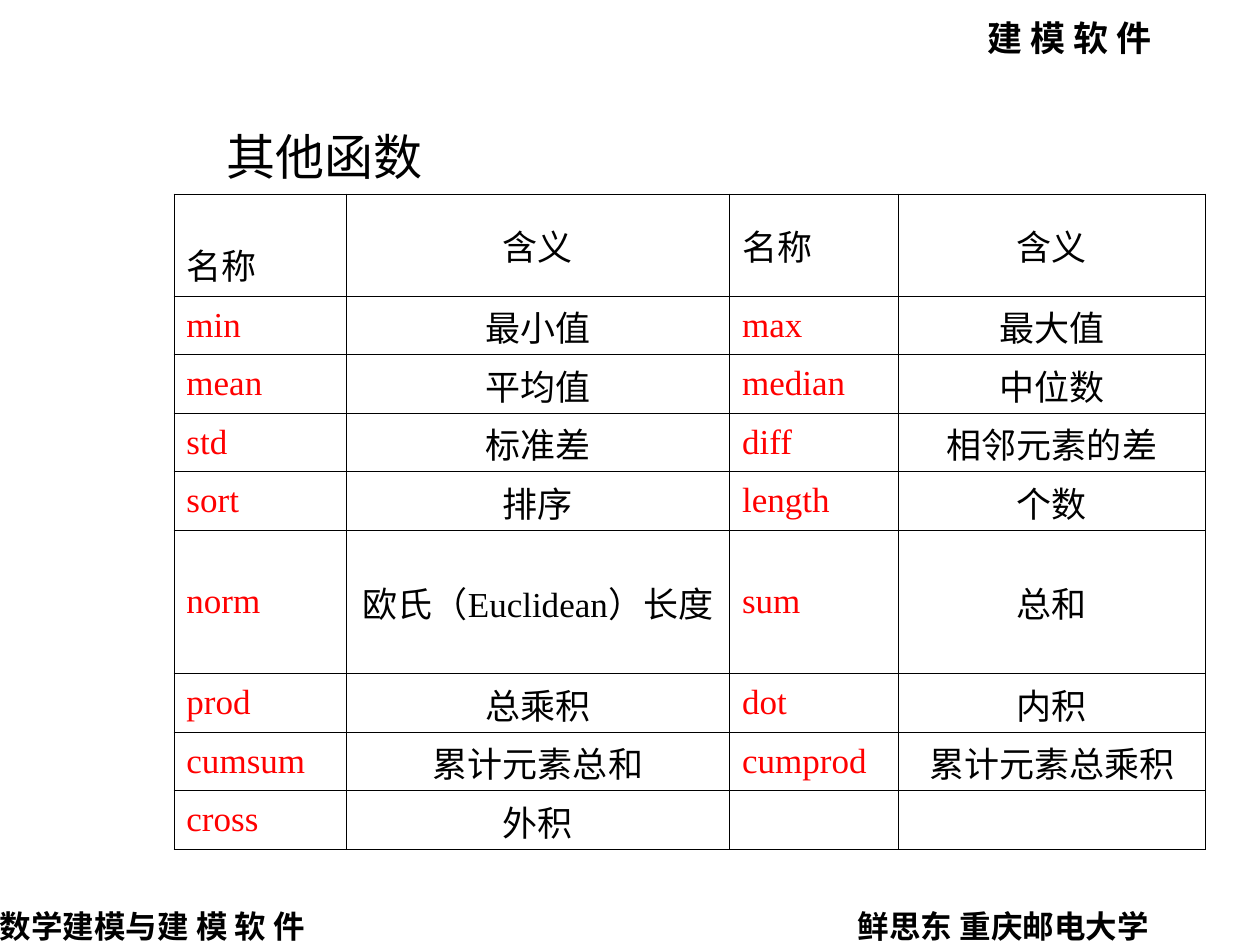
from pptx import Presentation
from pptx.dml.color import RGBColor
from pptx.enum.shapes import MSO_SHAPE
from pptx.enum.text import MSO_ANCHOR, PP_ALIGN
from pptx.oxml.ns import qn
from pptx.util import Inches, Pt
from lxml import etree

RECT = MSO_SHAPE.RECTANGLE
MIDDLE, BOTTOM = MSO_ANCHOR.MIDDLE, MSO_ANCHOR.BOTTOM
LEFT, CENTER = PP_ALIGN.LEFT, PP_ALIGN.CENTER

THEME = {
    "black": "000000", "red": "FF0000", "white": "FFFFFF",
    "latin": "Times New Roman",
    "sans": "Noto Sans CJK SC", "foot": "Noto Sans CJK JP",
    "title": 28, "head": 20, "cell": 20, "note": 18, "rule": 0.45,
}

# text, box, left inset, size, Latin font, East Asian font, bold
HEAD = ("建 模 软 件", (7.84, 0.13, 1.75, 0.33), 0, "head", "sans", "sans", True)
LABELS = [
    ("数学建模与建 模 软 件", (0, 7.2, 2.87, 0.3), 0, "note", "foot", "foot", True),
    ("鲜思东 重庆邮电大学", (6.81, 7.2, 2.87, 0.3), 0, "note", "sans", "sans", True),
    ("其他函数", (1.61, 0.95, 2.05, 0.57), 0.19, "title", "latin", "sans", False),
]

ROWS = [
    ("名称", "含义", "名称", "含义"),
    ("min", "最小值", "max", "最大值"),
    ("mean", "平均值", "median", "中位数"),
    ("std", "标准差", "diff", "相邻元素的差"),
    ("sort", "排序", "length", "个数"),
    ("norm", "欧氏（Euclidean）长度", "sum", "总和"),
    ("prod", "总乘积", "dot", "内积"),
    ("cumsum", "累计元素总和", "cumprod", "累计元素总乘积"),
    ("cross", "外积", "", ""),
]
SPOT = (1.38, 1.54)
WIDTHS = (1.37, 3.04, 1.34, 2.44)
HEIGHT = 5.2
TALL = {0: 0.81, 5: 1.14}


def tint(name):
    return RGBColor.from_string(THEME[name])


def style(para, size, latin, asian, color="black", bold=False):
    font = para.font
    font.size, font.bold = Pt(THEME[size]), bold
    font.name = THEME[latin]
    font.color.rgb = tint(color)
    for run in para.runs:
        props = run._r.get_or_add_rPr()
        etree.SubElement(props, qn("a:ea"), typeface=THEME[asian])


def write(shape, text, inset, size, latin, asian, bold):
    frame = shape.text_frame
    frame.word_wrap = True
    frame.vertical_anchor = MIDDLE
    frame.margin_left = Inches(inset)
    frame.margin_right = frame.margin_top = frame.margin_bottom = 0
    para = frame.paragraphs[0]
    para.text = text
    para.alignment = LEFT
    style(para, size, latin, asian, bold=bold)


def add_head(slide):
    text, box, *look = HEAD
    shape = slide.shapes.add_shape(RECT, *map(Inches, box))
    shape.shadow.inherit = False
    shape.fill.solid()
    shape.fill.fore_color.rgb = tint("white")
    shape.line.fill.background()
    write(shape, text, *look)


def add_label(slide, text, box, *look):
    write(slide.shapes.add_textbox(*map(Inches, box)), text, *look)


def add_border(cell):
    props = cell._tc.get_or_add_tcPr()
    for i, side in enumerate(("lnL", "lnR", "lnT", "lnB")):
        line = etree.Element(qn("a:" + side), w=str(Pt(THEME["rule"])))
        fill = etree.SubElement(line, qn("a:solidFill"))
        etree.SubElement(fill, qn("a:srgbClr"), val=THEME["black"])
        props.insert(i, line)


def fill_cell(cell, text, row, col):
    name = col % 2 == 0
    roomy = name or row in TALL
    cell.fill.solid()
    cell.fill.fore_color.rgb = tint("white")
    add_border(cell)
    cell.vertical_anchor = BOTTOM if row == col == 0 else MIDDLE
    cell.margin_left = cell.margin_right = Inches(0.1)
    # Chinese lines are taller, so short rows need smaller margins
    cell.margin_top = Inches(0.05 if roomy else 0.04)
    cell.margin_bottom = Inches(0.05 if roomy else 0.02)
    para = cell.text_frame.paragraphs[0]
    para.text = text
    para.alignment = LEFT if name else CENTER
    style(para, "cell", "latin", "sans", "red" if name and row else "black")


def add_grid(slide):
    short = (HEIGHT - sum(TALL.values())) / (len(ROWS) - len(TALL))
    table = slide.shapes.add_table(
        len(ROWS), len(WIDTHS), *map(Inches, (*SPOT, sum(WIDTHS), HEIGHT))
    ).table
    table.first_row = table.horz_banding = False
    for col, width in zip(table.columns, WIDTHS):
        col.width = Inches(width)
    for r, texts in enumerate(ROWS):
        table.rows[r].height = Inches(TALL.get(r, short))
        for c, text in enumerate(texts):
            fill_cell(table.cell(r, c), text, r, c)


def main():
    deck = Presentation()
    deck.slide_width, deck.slide_height = Inches(10), Inches(7.5)
    slide = deck.slides.add_slide(deck.slide_layouts[6])
    add_head(slide)
    for label in LABELS:
        add_label(slide, *label)
    add_grid(slide)
    deck.save("out.pptx")


if __name__ == "__main__":
    main()
